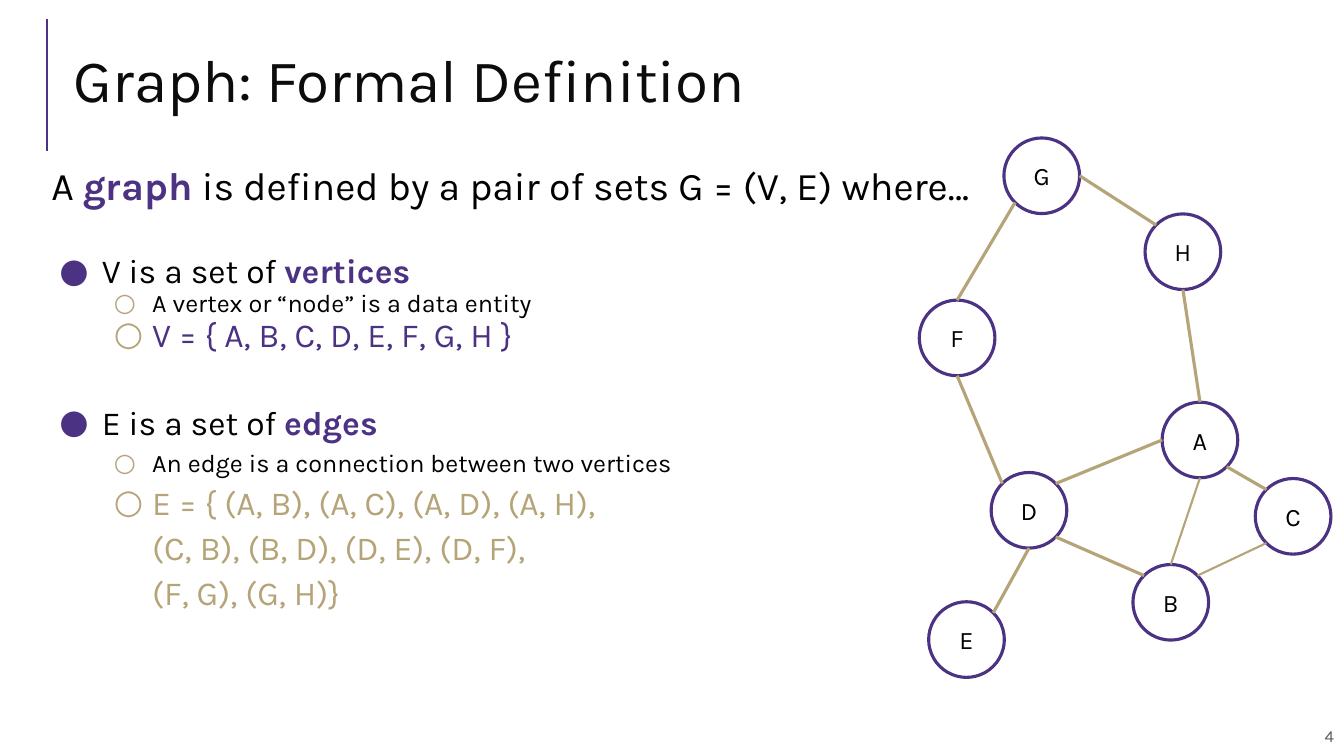
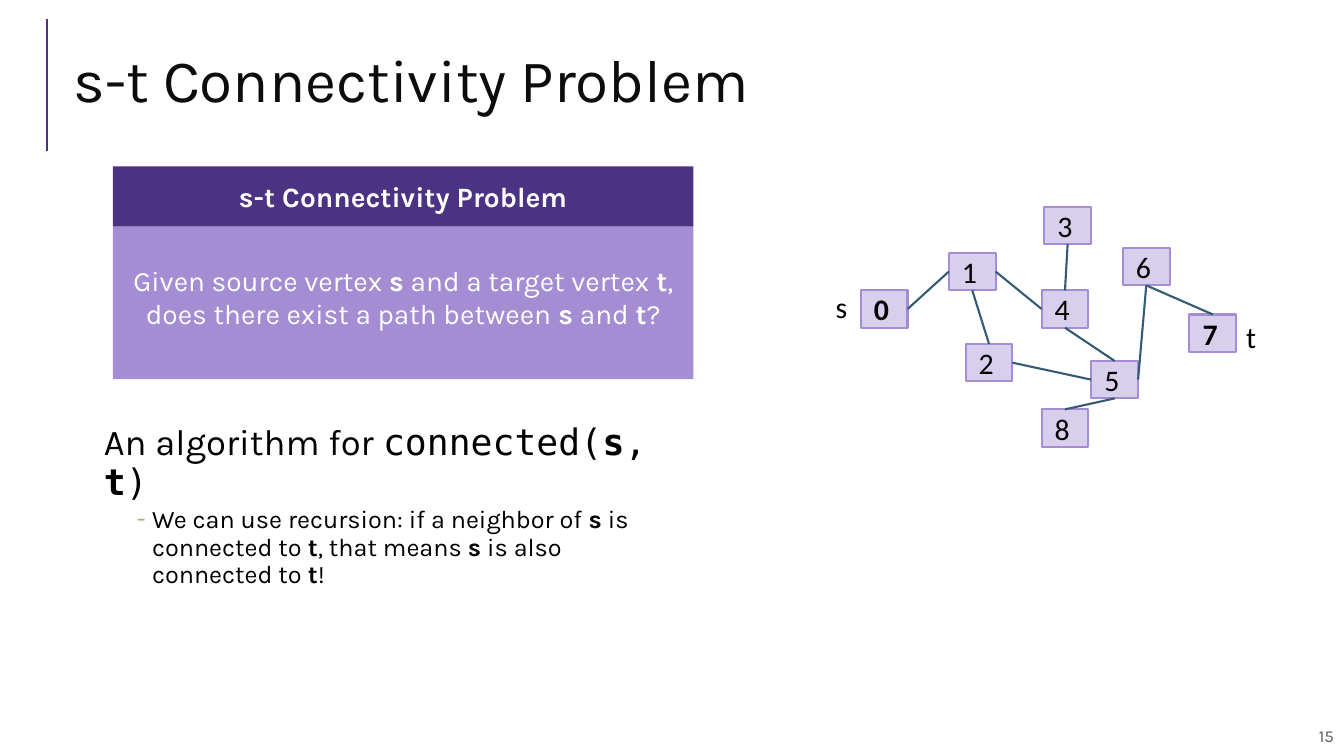
from dataclasses import dataclass
from math import hypot

from lxml.etree import SubElement
from pptx import Presentation
from pptx.dml.color import RGBColor
from pptx.enum.shapes import MSO_CONNECTOR, MSO_SHAPE
from pptx.enum.text import MSO_ANCHOR, MSO_AUTO_SIZE, PP_ALIGN
from pptx.oxml.ns import qn
from pptx.util import Inches, Pt


@dataclass(frozen=True)
class Theme:
    font: str = "Karla"
    code_font: str = "DejaVu Sans Mono"
    node_font: str = "Calibri"
    purple: str = "4C3282"
    lilac: str = "A48DD3"
    gold: str = "B6A479"
    teal: str = "335B74"
    black: str = "000000"
    title: str = "0C0C0C"
    gray: str = "595959"
    white: str = "FFFFFF"
    title_size: float = 43
    lead_size: float = 28
    algorithm_size: float = 26
    item_size: float = 24
    node_size: float = 21.3
    card_size: float = 20
    detail_size: float = 18
    number_size: float = 12


THEME = Theme()
SLIDE_WIDTH, SLIDE_HEIGHT = Inches(13.33), Inches(7.5)
COLUMN, ROW = SLIDE_WIDTH / 100, SLIDE_HEIGHT / 100

COMPASS = {
    "N": (0, -1), "NW": (-1, -1), "W": (-1, 0), "SW": (-1, 1),
    "S": (0, 1), "SE": (1, 1), "E": (1, 0), "NE": (1, -1),
}

VERTICES = {
    "A": (86.47, 53.2), "B": (84.3, 74.67), "C": (93.4, 63.3), "D": (73.75, 62.5),
    "E": (69.1, 79.6), "F": (68.4, 39.7), "G": (74.7, 18.25), "H": (85.2, 28.3),
}
EDGES = [
    ("G", "E", "H", "NW", 2.25), ("G", "SW", "F", "N", 2.25),
    ("F", "S", "D", "NW", 2.25), ("D", "S", "E", "NE", 2.25),
    ("H", "S", "A", "N", 2.25), ("A", "W", "D", "NE", 2.25),
    ("A", "S", "B", "N", 1.5), ("D", "SE", "B", "NW", 2.25),
    ("C", "SW", "B", "NE", 1.5), ("A", "SE", "C", "NW", 2.25),
]

STATIONS = {
    "0": (64.05, 38.4), "1": (70.6, 33.45), "2": (71.85, 45.5),
    "3": (77.7, 27.35), "4": (77.5, 38.4), "5": (81.2, 47.75),
    "6": (83.55, 32.8), "7": (88.5, 41.6), "8": (77.5, 54.15),
}
PATHS = [
    ("1", "S", "2", "N"), ("1", "E", "4", "W"), ("3", "S", "4", "N"),
    ("6", "S", "7", "N"), ("6", "S", "5", "E"), ("4", "S", "5", "N"),
    ("2", "E", "5", "W"), ("5", "S", "8", "N"), ("0", "E", "1", "W"),
]


def color(code):
    return RGBColor.from_string(code)


def grid(left, top, width, height):
    return [round(left * COLUMN), round(top * ROW), round(width * COLUMN), round(height * ROW)]


def place(shape, area):
    shape.left, shape.top, shape.width, shape.height = grid(*area)


def set_frame(shape, anchor=MSO_ANCHOR.TOP, insets=(0.1, 0.05, 0.1, 0.05), wrap=True):
    frame = shape.text_frame
    frame.word_wrap = wrap
    frame.auto_size = MSO_AUTO_SIZE.NONE
    frame.vertical_anchor = anchor
    frame.margin_left, frame.margin_top, frame.margin_right, frame.margin_bottom = map(Inches, insets)
    return frame


def set_bullet(paragraph, mark, mark_color, indent, hanging):
    properties = paragraph._p.get_or_add_pPr()
    properties.set("marL", str(Inches(indent)))
    properties.set("indent", str(Inches(hanging)))
    if mark:
        tint = SubElement(properties, qn("a:buClr"))
        SubElement(tint, qn("a:srgbClr"), val=mark_color)
        SubElement(properties, qn("a:buFont"), typeface=THEME.font)
        SubElement(properties, qn("a:buChar"), char=mark)
    else:
        SubElement(properties, qn("a:buNone"))


def add_runs(paragraph, text, accent=None, font=None):
    for index, part in enumerate(text.split("*")):
        if not part:
            continue
        run = paragraph.add_run()
        run.text = part
        if font:
            run.font.name = font
        if index % 2:
            run.font.bold = True
            if accent:
                run.font.color.rgb = color(accent)


def write(paragraph, text, size, ink=THEME.black, font=THEME.font, align=PP_ALIGN.LEFT,
          spacing=1.0, before=0, level=0, mark=None, mark_color=THEME.gold,
          indent=0, hanging=0, accent=None):
    paragraph.level = level
    set_bullet(paragraph, mark, mark_color, indent, hanging)
    paragraph.alignment = align
    paragraph.line_spacing = spacing
    paragraph.space_before = Pt(before)
    paragraph.font.name = font
    paragraph.font.size = Pt(size)
    paragraph.font.color.rgb = color(ink)
    add_runs(paragraph, text, accent)


def add_text(slide, area, text, size, anchor=MSO_ANCHOR.TOP, inset=0.1, **style):
    box = slide.shapes.add_textbox(*grid(*area))
    frame = set_frame(box, anchor, [inset] * 4)
    write(frame.paragraphs[0], text, size, **style)


def add_box(slide, kind, area, fill=None, opacity=None, line=None, weight=1.5):
    shape = slide.shapes.add_shape(kind, *grid(*area))
    shape.shadow.inherit = False
    if fill:
        shape.fill.solid()
        shape.fill.fore_color.rgb = color(fill)
        if opacity:
            tint = shape._element.spPr.find(qn("a:solidFill"))[0]
            SubElement(tint, qn("a:alpha"), val=str(opacity * 1000))
    else:
        shape.fill.background()
    if line:
        shape.line.color.rgb = color(line)
        shape.line.width = Pt(weight)
    else:
        shape.line.fill.background()
    return shape


def add_line(slide, start, end, ink, weight):
    connector = slide.shapes.add_connector(MSO_CONNECTOR.STRAIGHT, *start, *end)
    connector.line.color.rgb = color(ink)
    connector.line.width = Pt(weight)
    SubElement(connector._element.spPr, qn("a:effectLst"))
    return connector


def anchor_point(shape, side):
    across, down = COMPASS[side]
    reach = hypot(across, down)
    return (round(shape.left + shape.width * (1 + across / reach) / 2),
            round(shape.top + shape.height * (1 + down / reach) / 2))


def connect(slide, first, first_side, second, second_side, ink, weight=1.5):
    connector = add_line(slide, anchor_point(first, first_side),
                         anchor_point(second, second_side), ink, weight)
    links = connector._element.nvCxnSpPr.cNvCxnSpPr
    for tag, shape, side in (("a:stCxn", first, first_side), ("a:endCxn", second, second_side)):
        site = list(COMPASS).index(side)
        if shape.auto_shape_type == MSO_SHAPE.RECTANGLE:
            site //= 2
        SubElement(links, qn(tag), id=str(shape.shape_id), idx=str(site))


def add_vertex(slide, name, left, top):
    circle = add_box(slide, MSO_SHAPE.OVAL, (left, top, 5.63, 10), line=THEME.purple, weight=2.25)
    frame = set_frame(circle, MSO_ANCHOR.MIDDLE, [0] * 4, wrap=False)
    write(frame.paragraphs[0], name, THEME.detail_size, align=PP_ALIGN.CENTER)
    return circle


def add_station(slide, name, left, top):
    station = add_box(slide, MSO_SHAPE.RECTANGLE, (left, top, 3.48, 4.95),
                      fill=THEME.lilac, opacity=42, line=THEME.lilac)
    frame = set_frame(station, MSO_ANCHOR.MIDDLE, [0.13] * 4)
    text = f"*{name}*" if name in ("0", "7") else name
    write(frame.paragraphs[0], text, THEME.node_size, font=THEME.node_font)
    return station


def add_card(slide, area, heading, text):
    left, top, width, height = area
    header_height = 8
    parts = [
        (top, header_height, THEME.purple, f"*{heading}*", 0.05),
        (top + header_height, height - header_height, THEME.lilac, text, 0.17),
    ]
    for part_top, part_height, fill, words, bottom in parts:
        panel = add_box(slide, MSO_SHAPE.RECTANGLE, (left, part_top, width, part_height), fill)
        frame = set_frame(panel, MSO_ANCHOR.MIDDLE, (0.1, 0.05, 0.1, bottom))
        write(frame.paragraphs[0], words, THEME.card_size, ink=THEME.white, align=PP_ALIGN.CENTER)


def add_titled_slide(presentation, title, number, body_area):
    slide = presentation.slides.add_slide(presentation.slide_layouts[1])
    x, top, bottom = round(3.5 * COLUMN), round(2.5 * ROW), round(20 * ROW)
    add_line(slide, (x, bottom), (x, top), THEME.purple, 1.5)
    add_text(slide, (64.9, 94.67, 35.1, 5.33), number, THEME.number_size,
             MSO_ANCHOR.MIDDLE, ink=THEME.gray, align=PP_ALIGN.RIGHT)
    heading = slide.shapes.title
    place(heading, (4.73, 3.87, 91.75, 14.8))
    write(set_frame(heading, MSO_ANCHOR.MIDDLE).paragraphs[0], title,
          THEME.title_size, ink=THEME.title, spacing=0.8)
    body = slide.placeholders[1]
    place(body, body_area)
    return slide, set_frame(body, insets=[0.05] * 4)


def build_definition(presentation):
    slide, frame = add_titled_slide(presentation, "Graph: Formal Definition", "4",
                                    (3.45, 21.33, 91.75, 72.5))
    item = dict(size=THEME.item_size, mark="●", mark_color=THEME.purple, indent=0.5, hanging=-0.42)
    detail = dict(size=THEME.detail_size, level=1, mark="○", indent=1, hanging=-0.38)
    formula = detail | dict(size=THEME.item_size)
    continuation = dict(size=THEME.item_size, ink=THEME.gold, indent=1, before=6)
    lines = [
        ("A *graph* is defined by a pair of sets G = (V, E) where…", dict(size=THEME.lead_size)),
        ("V is a set of *vertices*", item | dict(before=33)),
        ("A vertex or “node” is a data entity", detail),
        ("V = { A, B, C, D, E, F, G, H }", formula | dict(ink=THEME.purple)),
        ("E is a set of *edges*", item | dict(before=37)),
        ("An edge is a connection between two vertices", detail | dict(before=6)),
        ("E = { (A, B), (A, C), (A, D), (A, H),", formula | dict(ink=THEME.gold, before=6)),
        ("(C, B), (B, D), (D, E), (D, F),", continuation),
        ("(F, G), (G, H)}", continuation),
    ]
    for index, (text, style) in enumerate(lines):
        paragraph = frame.add_paragraph() if index else frame.paragraphs[0]
        write(paragraph, text, spacing=0.9, accent=THEME.purple, **style)
    vertices = {name: add_vertex(slide, name, *spot) for name, spot in VERTICES.items()}
    for first, first_side, second, second_side, weight in EDGES:
        connect(slide, vertices[first], first_side, vertices[second], second_side,
                THEME.gold, weight)


def build_connectivity(presentation):
    title = "s-t Connectivity Problem"
    slide, frame = add_titled_slide(presentation, title, "15", (7.35, 55.47, 45.9, 14.8))
    paragraph = frame.paragraphs[0]
    write(paragraph, "An algorithm for ", THEME.algorithm_size, spacing=0.9)
    add_runs(paragraph, "connected(*s*, *t*)", font=THEME.code_font)
    add_card(slide, (8.4, 22, 43.2, 28.15), title,
             "Given source vertex *s* and a target vertex *t*, "
             "does there exist a path between *s* and *t*?")
    add_text(slide, (8.4, 65.73, 39.45, 13.6),
             "We can use recursion: if a neighbor of *s* is connected to *t*, "
             "that means *s* is also connected to *t*!",
             THEME.detail_size, spacing=0.9, mark="-", indent=0.29, hanging=-0.15)
    stations = {name: add_station(slide, name, *spot) for name, spot in STATIONS.items()}
    for first, first_side, second, second_side in PATHS:
        connect(slide, stations[first], first_side, stations[second], second_side, THEME.teal)
    for label, left, top in (("s", 61.2, 36.4), ("t", 91.75, 40.4)):
        add_text(slide, (left, top, 4, 7), label, THEME.node_size,
                 inset=0.13, font=THEME.node_font)


def main():
    presentation = Presentation()
    presentation.slide_width, presentation.slide_height = SLIDE_WIDTH, SLIDE_HEIGHT
    build_definition(presentation)
    build_connectivity(presentation)
    presentation.save("out.pptx")


if __name__ == "__main__":
    main()
